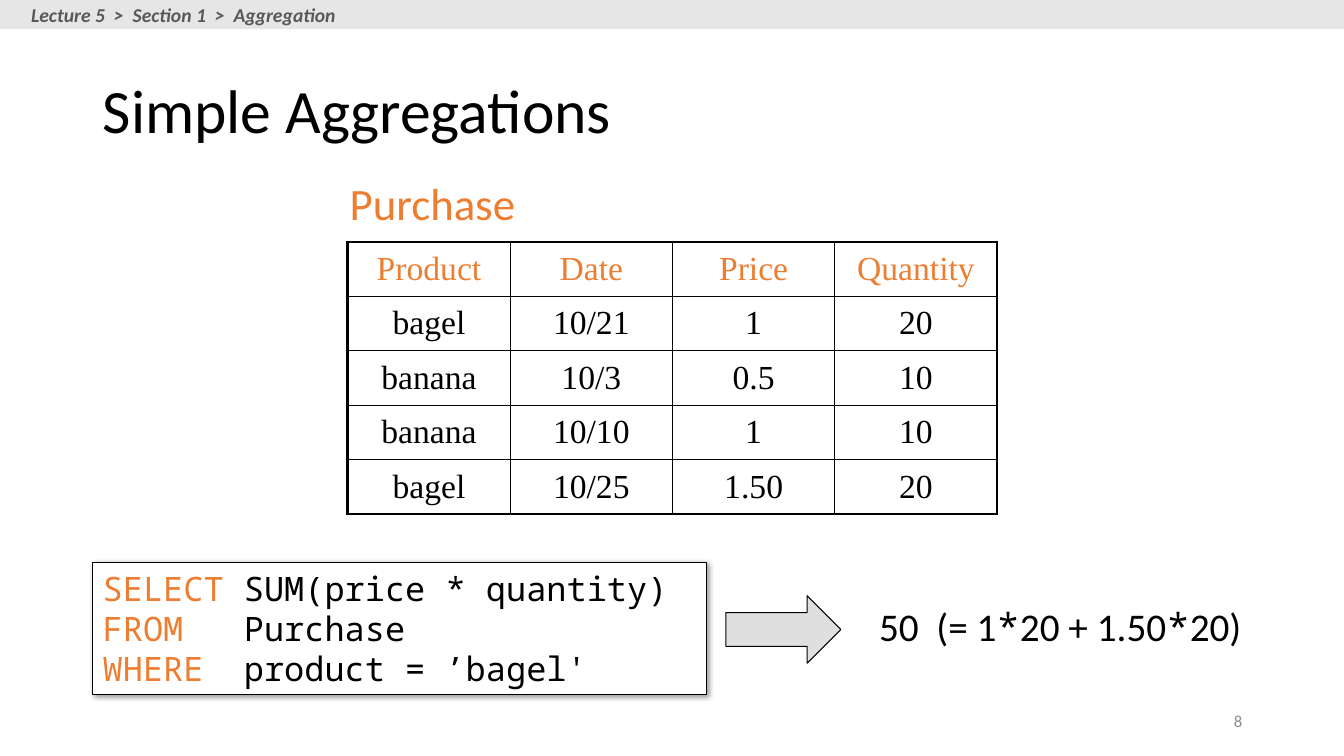
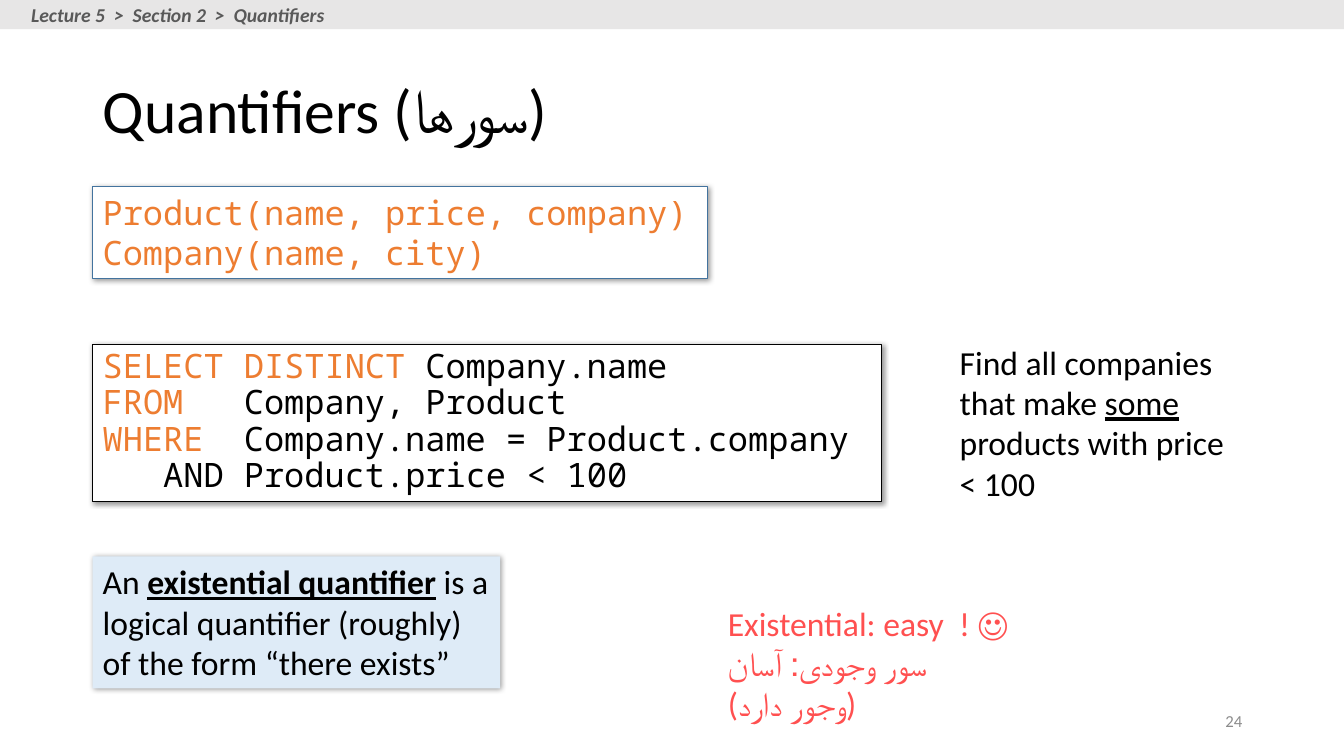
import pptx
import pptx.util
import pptx.dml.color
import pptx.enum.shapes
import pptx.enum.text
import pptx.oxml
import pptx.oxml.ns
import lxml.etree

Inches = pptx.util.Inches
Pt = pptx.util.Pt
Rgb = pptx.dml.color.RGBColor.from_string
Align = pptx.enum.text.PP_ALIGN
Anchor = pptx.enum.text.MSO_ANCHOR
Form = pptx.enum.shapes.MSO_SHAPE
qn = pptx.oxml.ns.qn
NS = pptx.oxml.ns.nsdecls("a")


class Theme:
    ink, key, white = "000000", "ED7D31", "FFFFFF"
    band, crumb, page = "E7E6E6", "595959", "8C8C8C"
    blue, pale, red, gray = "43739E", "DEEBF7", "FF5050", "C0C0C0"
    sans, mono, serif = "Calibri", "Noto Sans Mono", "Times New Roman"
    title, head, large, body, small, tiny = 44, 32, 28, 24, 14, 12
    left, wide = 0.92, 11.5


def box(slide, at, fill=None, line=None, shade=False, form=Form.RECTANGLE):
    """Add a text box, or a filled shape with an optional line and shadow."""
    place = [Inches(v) for v in at]
    if fill is None:
        return slide.shapes.add_textbox(*place)
    shape = slide.shapes.add_shape(form, *place)
    shape.shadow.inherit = False
    shape.fill.solid()
    shape.fill.fore_color.rgb = Rgb(fill)
    if line:
        shape.line.color.rgb = Rgb(line)
        shape.line.width = Pt(0.75)
    else:
        shape.line.fill.background()
    if shade:
        glow = shape._element.spPr.find(qn("a:effectLst"))
        glow.append(pptx.oxml.parse_xml(
            f'<a:outerShdw {NS} blurRad="{Pt(4)}" dist="{Pt(1)}" dir="2700000" '
            'algn="tl" rotWithShape="0"><a:srgbClr val="000000">'
            '<a:alpha val="40000"/></a:srgbClr></a:outerShdw>'))
    return shape


def write(frame, lines, size=Theme.body, face=Theme.sans, hue=Theme.ink, align=Align.LEFT,
          anchor=Anchor.TOP, wrap=True, lead=None, bold=False, slant=False):
    """Fill a frame; each line is a list of (text, changes) runs."""
    frame.word_wrap = wrap
    frame.vertical_anchor = anchor
    for i, runs in enumerate(lines):
        para = frame.paragraphs[0] if i == 0 else frame.add_paragraph()
        para.alignment = align
        if lead:
            para.line_spacing = lead
        for words, change in runs:
            run = para.add_run()
            run.text = words
            font = run.font
            font.size = Pt(size)
            font.name = change.get("face", face)
            font.color.rgb = Rgb(change.get("hue", hue))
            font.bold = change.get("bold", bold)
            font.italic = slant
            font.underline = change.get("under", False)


deck = pptx.Presentation()
deck.slide_width, deck.slide_height = Inches(13.33), Inches(7.5)

# Shared frame: title, top band, breadcrumb and page number
pages = [
    ("Simple Aggregations", "Lecture 5  >  Section 1  >  Aggregation", "8", 3.23),
    ("Quantifiers (سورها)", "Lecture 5  >  Section 2  >  Quantifiers", "24", 3.15),
]
slides = []
for name, crumb, num, width in pages:
    slide = deck.slides.add_slide(deck.slide_layouts[5])
    title = slide.shapes.title
    title.left, title.top = Inches(Theme.left), Inches(0.4)
    title.width, title.height = Inches(Theme.wide), Inches(1.45)
    title.text_frame.auto_size = pptx.enum.text.MSO_AUTO_SIZE.NONE
    write(title.text_frame, [[(name, {})]], Theme.title, anchor=Anchor.MIDDLE, lead=0.9)
    box(slide, (0, 0, 13.33, 0.29), Theme.band)
    write(box(slide, (0.21, -0.02, width, 0.34)).text_frame, [[(crumb, {})]], Theme.small,
          hue=Theme.crumb, wrap=False, bold=True, slant=True)
    write(box(slide, (9.42, 6.95, 3, 0.4)).text_frame, [[(num, {})]], Theme.tiny,
          hue=Theme.page, align=Align.RIGHT, anchor=Anchor.MIDDLE)
    slides.append(slide)
first, second = slides

key = {"hue": Theme.key}
mono = {"face": Theme.mono}
under = {"under": True}

# Slide 1: purchase table
write(box(first, (3.37, 1.69, 1.86, 0.64)).text_frame, [[("Purchase", key)]], Theme.head,
      wrap=False)
rows = [
    ("Product", "Date", "Price", "Quantity"),
    ("bagel", "10/21", "1", "20"),
    ("banana", "10/3", "0.5", "10"),
    ("banana", "10/10", "1", "10"),
    ("bagel", "10/25", "1.50", "20"),
]
high, wide = len(rows), len(rows[0])
table = first.shapes.add_table(high, wide, Inches(3.45), Inches(2.4),
                               Inches(1.61 * wide), Inches(0.54 * high)).table
table.first_row = table.horz_banding = False
for col in table.columns:
    col.width = Inches(1.61)
for r, row in enumerate(rows):
    table.rows[r].height = Inches(0.54)
    for c, words in enumerate(row):
        cell = table.cell(r, c)
        cell.fill.background()
        cell.vertical_anchor = Anchor.MIDDLE
        write(cell.text_frame, [[(words, {})]], face=Theme.serif,
              hue=Theme.ink if r else Theme.key, align=Align.CENTER)
        # Heavy outer edge, thin inner rules
        edges = {"lnL": c == 0, "lnR": c == wide - 1, "lnT": r == 0, "lnB": r == high - 1}
        props = cell._tc.get_or_add_tcPr()
        for i, (tag, outer) in enumerate(edges.items()):
            props.insert(i, pptx.oxml.parse_xml(
                f'<a:{tag} {NS} w="{Pt(2.25 if outer else 1)}"><a:solidFill>'
                f'<a:srgbClr val="{Theme.ink}"/></a:solidFill></a:{tag}>'))

# Slide 1: query, arrow and result
query = box(first, (Theme.left, 5.58, 6.09, 1.31), Theme.white, Theme.ink, True)
write(query.text_frame, [
    [("SELECT ", key), ("SUM(price * quantity)", {})],
    [("FROM   ", key), ("Purchase", {})],
    [("WHERE  ", key), ("product = ’bagel'", {})],
], face=Theme.mono)
arrow = box(first, (7.2, 5.91, 1.14, 0.67), Theme.gray, Theme.ink, form=Form.RIGHT_ARROW)
tint = arrow._element.spPr.find(qn("a:solidFill"))[0]
lxml.etree.SubElement(tint, qn("a:alpha")).set("val", "50000")
write(box(first, (8.62, 5.93, 3.84, 0.57)).text_frame, [
    [("50  (= 1", {}), ("*", mono), ("20 + 1.50", {}), ("*", mono), ("20)", {})],
], Theme.large, wrap=False)

# Slide 2: schema
schema = box(second, (Theme.left, 1.85, 6.1, 0.91), Theme.white, Theme.blue, True)
write(schema.text_frame, [
    [("Product(name, price, company)", key)],
    [("Company(name, city)", key)],
], face=Theme.mono, wrap=False)

# Slide 2: query and its meaning
query = box(second, (Theme.left, 3.42, 7.82, 1.56), Theme.white, Theme.ink, True)
write(query.text_frame, [
    [("SELECT DISTINCT ", key), ("Company.name", {})],
    [("FROM   ", key), ("Company, Product", {})],
    [("WHERE  ", key), ("Company.name = Product.company", {})],
    [("   AND Product.price < 100", {})],
], face=Theme.mono, lead=0.9)
write(box(second, (9.42, 3.34, 3, 1.72)).text_frame, [
    [("Find all companies that make ", {}), ("some", under),
     (" products with price < 100", {})],
])

# Slide 2: definition and remark
note = box(second, (Theme.left, 5.52, 4.04, 1.31), Theme.pale, shade=True)
write(note.text_frame, [
    [("An ", {}), ("existential quantifier", {"bold": True, "under": True}),
     (" is a logical quantifier (roughly) of the form “there exists”", {})],
])
write(box(second, (7.12, 5.93, 3.01, 1.31)).text_frame, [
    [("Existential: easy  ! ☺", {})],
    [("سور وجودی: آسان", {})],
    [("(وجور دارد)", {})],
], hue=Theme.red, wrap=False)

deck.save("out.pptx")
